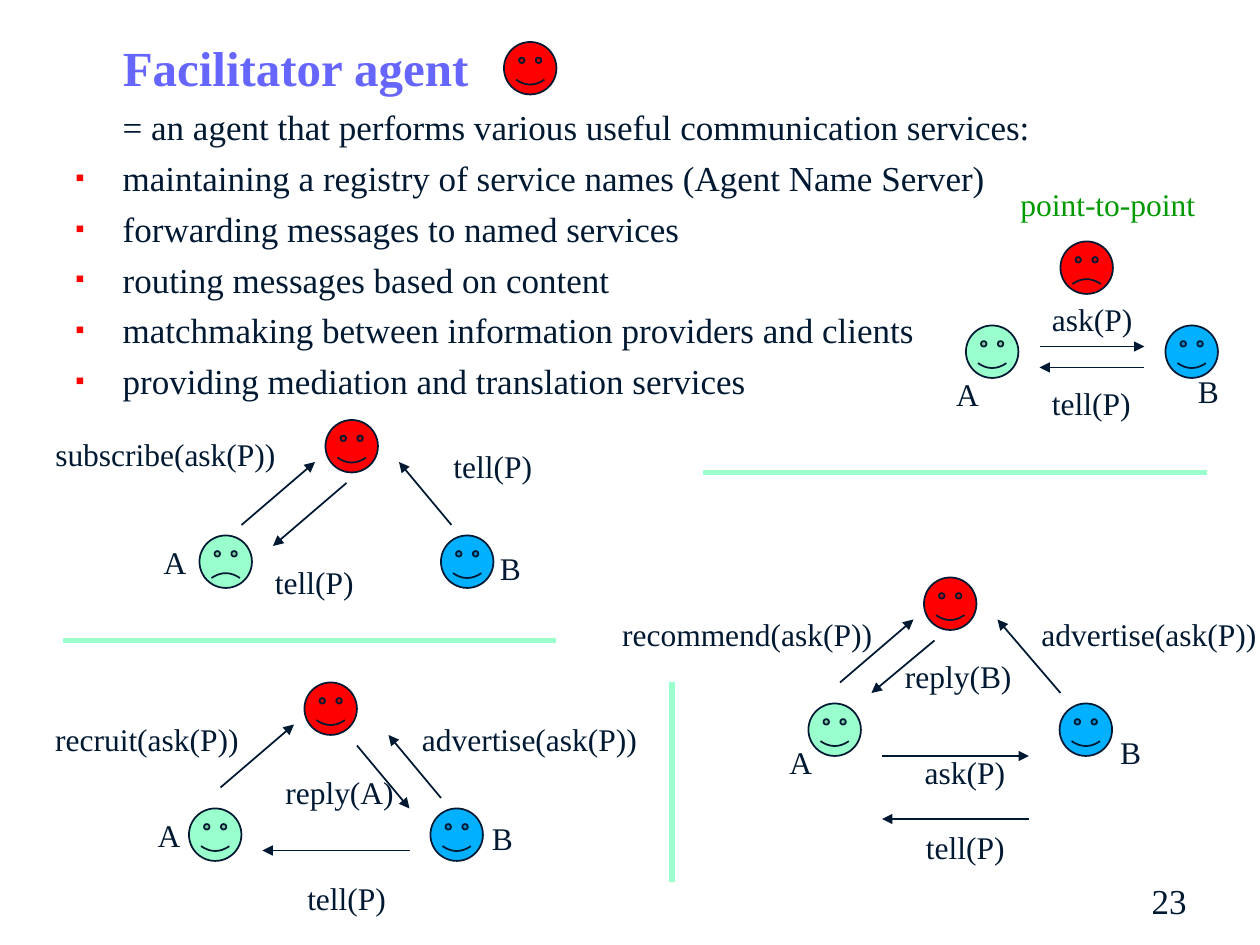
from lxml import etree
from pptx import Presentation
from pptx.dml.color import RGBColor
from pptx.enum.shapes import MSO_CONNECTOR, MSO_SHAPE
from pptx.enum.text import MSO_ANCHOR, MSO_AUTO_SIZE, PP_ALIGN
from pptx.oxml.ns import qn
from pptx.util import Pt

INK = RGBColor(0x00, 0x19, 0x32)
VIOLET = RGBColor(0x66, 0x66, 0xFF)
GREEN = RGBColor(0x00, 0x99, 0x00)
RED = RGBColor(0xFF, 0x00, 0x00)
MINT = RGBColor(0x99, 0xFF, 0xCC)
BLUE = RGBColor(0x01, 0xB0, 0xFF)

FONT = "Times New Roman"
FACE = 30
SMILE, FROWN = 0.093, -0.047
LABEL_HEIGHT = 29
LABEL_WIDTHS = {
    "A": 29, "B": 28, "23": 37, "tell(P)": 62, "ask(P)": 63,
    "reply(A)": 79, "reply(B)": 79, "recruit(ask(P))": 122,
    "advertise(ask(P))": 140, "subscribe(ask(P))": 143,
    "recommend(ask(P))": 161, "point-to-point": 117,
}

SERVICES = [
    "maintaining a registry of service names (Agent Name Server)",
    "forwarding messages to named services",
    "routing messages based on content",
    "matchmaking between information providers and clients",
    "providing mediation and translation services",
]

# Each diagram: origin, faces (colour, x, y, mouth), labels (text, x, y),
# arrows (x1, y1, x2, y2), all in points relative to the origin
POINT_TO_POINT = dict(
    box=(540, 102),
    faces=[(MINT, 12, 84, SMILE), (BLUE, 126, 84, SMILE), (RED, 66, 36, FROWN)],
    labels=[("ask(P)", 54, 66), ("tell(P)", 54, 114), ("A", -0.7, 109), ("B", 137.5, 107)],
    arrows=[(54, 96, 114, 96), (114, 108, 54, 108)],
)
SUBSCRIBE = dict(
    box=(24, 240),
    faces=[(MINT, 90, 66, FROWN), (BLUE, 228, 66, SMILE), (RED, 162, 0, SMILE)],
    labels=[("subscribe(ask(P))", 0.5, 5), ("tell(P)", 228, 12), ("tell(P)", 126, 78),
            ("A", 62.4, 67), ("B", 254.6, 70)],
    arrows=[(114, 60, 156, 24), (174, 36, 132, 72), (234, 60, 204, 24)],
)
RECRUIT = dict(
    box=(24, 390),
    faces=[(MINT, 84, 72, SMILE), (BLUE, 222, 72, SMILE), (RED, 150, 0, SMILE)],
    labels=[("recruit(ask(P))", 0.5, 18), ("advertise(ask(P))", 210, 18),
            ("reply(A)", 132, 48), ("tell(P)", 144.5, 109), ("A", 59, 73), ("B", 250, 74.4)],
    arrows=[(102, 60, 144, 24), (180, 36, 210, 72), (228, 66, 198, 30), (210, 96, 126, 96)],
)
RECOMMEND = dict(
    box=(348, 330),
    faces=[(MINT, 114, 72, SMILE), (BLUE, 257.5, 72, SMILE), (RED, 180, 0, SMILE)],
    labels=[("recommend(ask(P))", 0.5, 18), ("advertise(ask(P))", 240, 18),
            ("reply(B)", 162, 42), ("ask(P)", 173.3, 97), ("tell(P)", 174, 139.5),
            ("A", 96, 91), ("B", 285, 85.4)],
    arrows=[(132, 60, 174, 24), (186, 36, 150, 66), (258, 66, 222, 24),
            (156, 102, 240, 102), (240, 138, 156, 138)],
)
DIVIDERS = [(36, 366, 318, 366), (402, 270, 690, 270), (384, 390, 384, 504)]


def style(para, size, color, bold=False):
    for span in para.runs:
        span.font.name = FONT
        span.font.size = Pt(size)
        span.font.bold = bold
        span.font.color.rgb = color


def add_label(page, text, left, top, size=18, color=INK):
    label = page.shapes.add_textbox(
        Pt(left), Pt(top), Pt(LABEL_WIDTHS[text]), Pt(LABEL_HEIGHT))
    frame = label.text_frame
    frame.text = text
    frame.word_wrap = True
    frame.auto_size = MSO_AUTO_SIZE.NONE
    style(frame.paragraphs[0], size, color)


def add_face(page, color, left, top, mouth=SMILE):
    face = page.shapes.add_shape(
        MSO_SHAPE.SMILEY_FACE, Pt(left), Pt(top), Pt(FACE), Pt(FACE))
    face.adjustments[0] = mouth
    face.shadow.inherit = False
    face.fill.solid()
    face.fill.fore_color.rgb = color
    face.line.color.rgb = INK
    face.line.width = Pt(1)


def add_line(page, ends, color, width, arrow=False):
    line = page.shapes.add_connector(MSO_CONNECTOR.STRAIGHT, *map(Pt, ends))
    line.line.color.rgb = color
    line.line.width = Pt(width)
    if arrow:
        etree.SubElement(line.line._get_or_add_ln(), qn("a:tailEnd"), type="triangle")
    etree.SubElement(line._element.spPr, qn("a:effectLst"))


def add_bullet(para):
    props = para._p.get_or_add_pPr()
    props.set("indent", str(Pt(-27)))
    color = etree.SubElement(props, qn("a:buClr"))
    etree.SubElement(color, qn("a:srgbClr"), val=str(RED))
    etree.SubElement(props, qn("a:buSzPct"), val="75000")
    etree.SubElement(props, qn("a:buFont"), typeface=FONT)
    etree.SubElement(props, qn("a:buChar"), char="▪")


def add_heading(page, left, top, width, height):
    title = page.shapes.title
    title.left, title.top = Pt(left), Pt(top)
    title.width, title.height = Pt(width), Pt(height)
    frame = title.text_frame
    frame.text = "Facilitator agent"
    frame.vertical_anchor = MSO_ANCHOR.TOP
    frame.paragraphs[0].alignment = PP_ALIGN.LEFT
    style(frame.paragraphs[0], 28, VIOLET, bold=True)
    add_face(page, RED, left + 225, top + 6.3)


def add_services(page, left, top, width, height):
    box = page.shapes.add_textbox(Pt(left), Pt(top), Pt(width), Pt(height))
    frame = box.text_frame
    frame.word_wrap = True
    frame.text = "= an agent that performs various useful communication services:"
    for service in SERVICES:
        para = frame.add_paragraph()
        para.text = service
        para.space_before = Pt(5)
        add_bullet(para)
    for para in frame.paragraphs:
        para._p.get_or_add_pPr().set("marL", str(Pt(27)))
        style(para, 20, INK)


def add_diagram(page, box, faces, labels, arrows):
    left, top = box
    for color, x, y, mouth in faces:
        add_face(page, color, left + x, top + y, mouth)
    for x1, y1, x2, y2 in arrows:
        add_line(page, (left + x1, top + y1, left + x2, top + y2), INK, 1, arrow=True)
    for text, x, y in labels:
        add_label(page, text, left + x, top + y)


def main():
    deck = Presentation()
    deck.slide_width, deck.slide_height = Pt(720), Pt(540)
    page = deck.slides.add_slide(deck.slide_layouts[5])

    # Heading and list of services
    add_heading(page, 63, 17.7, 220, 40)
    add_services(page, 36, 57, 600, 174)

    # Message diagrams
    for diagram in (POINT_TO_POINT, SUBSCRIBE, RECRUIT, RECOMMEND):
        add_diagram(page, **diagram)
    add_label(page, "point-to-point", 576, 102, color=GREEN)

    # Dividers and page number
    for ends in DIVIDERS:
        add_line(page, ends, MINT, 3)
    add_label(page, "23", 651, 499, size=20)

    deck.save("out.pptx")


if __name__ == "__main__":
    main()
